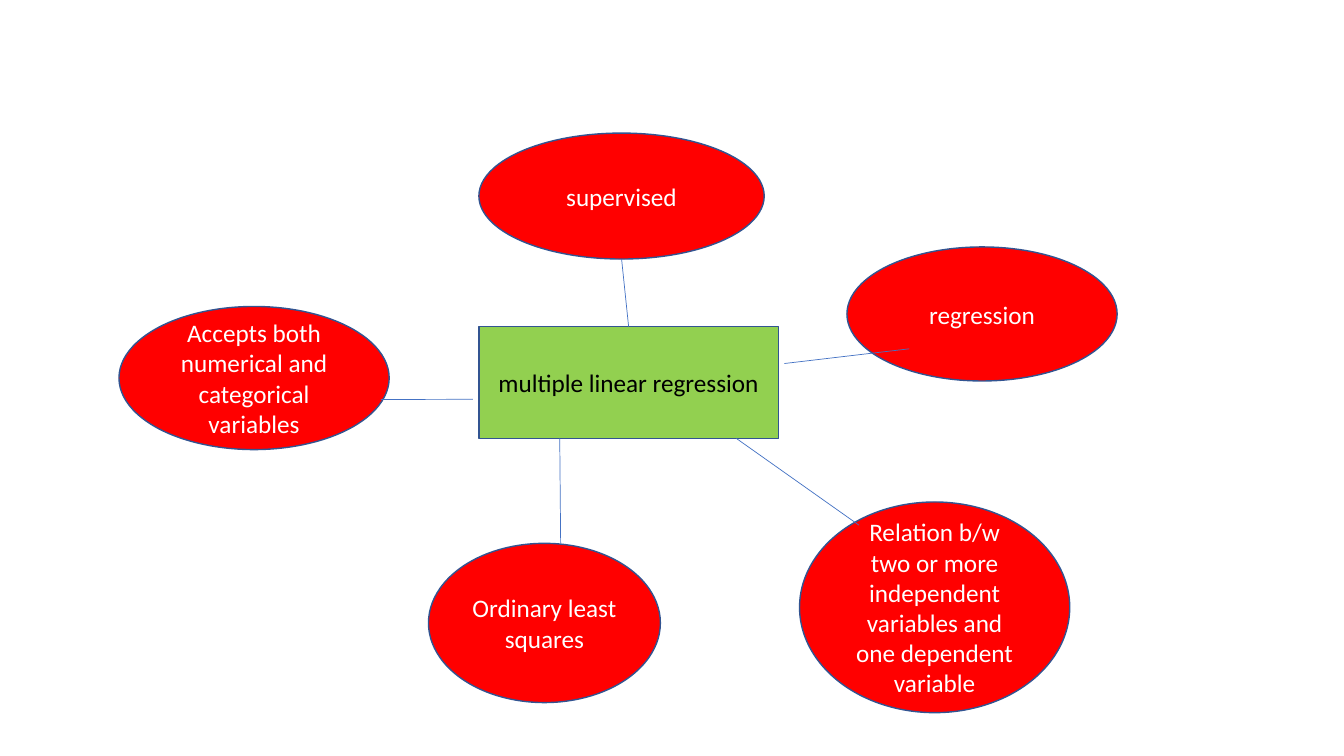
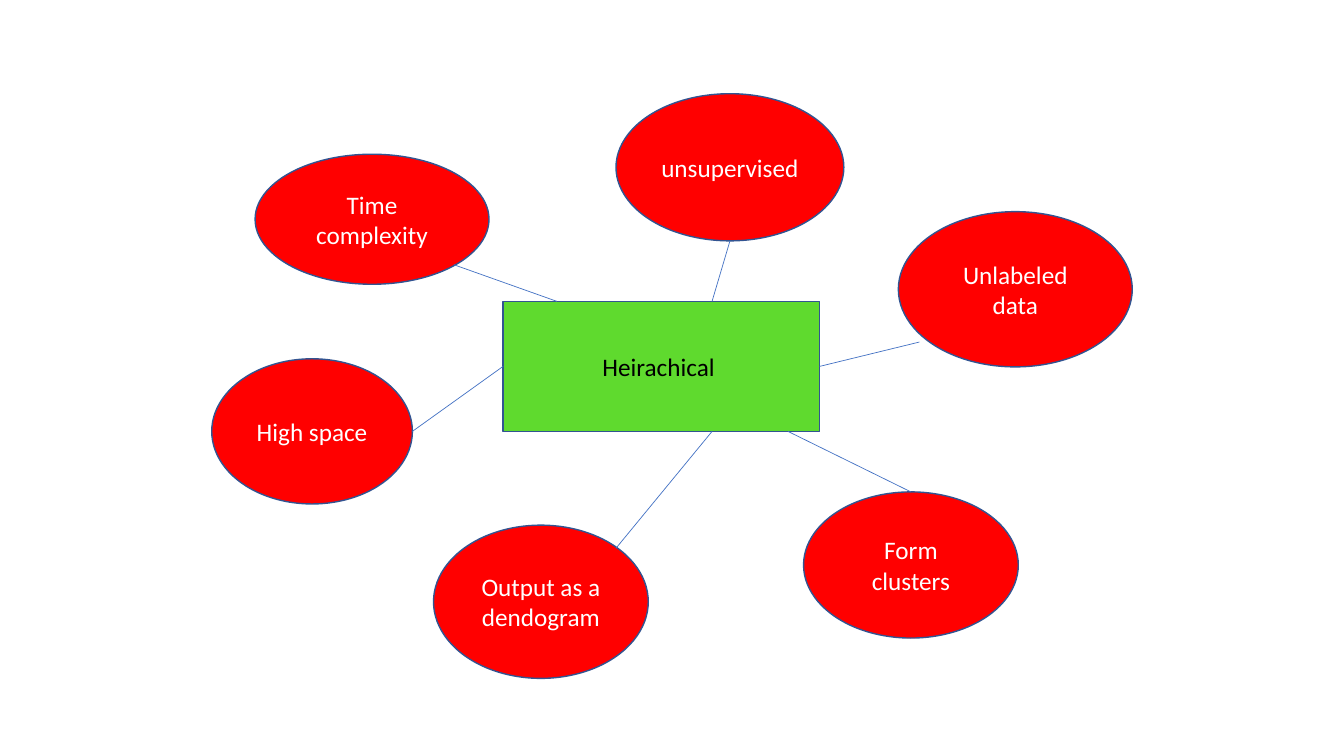
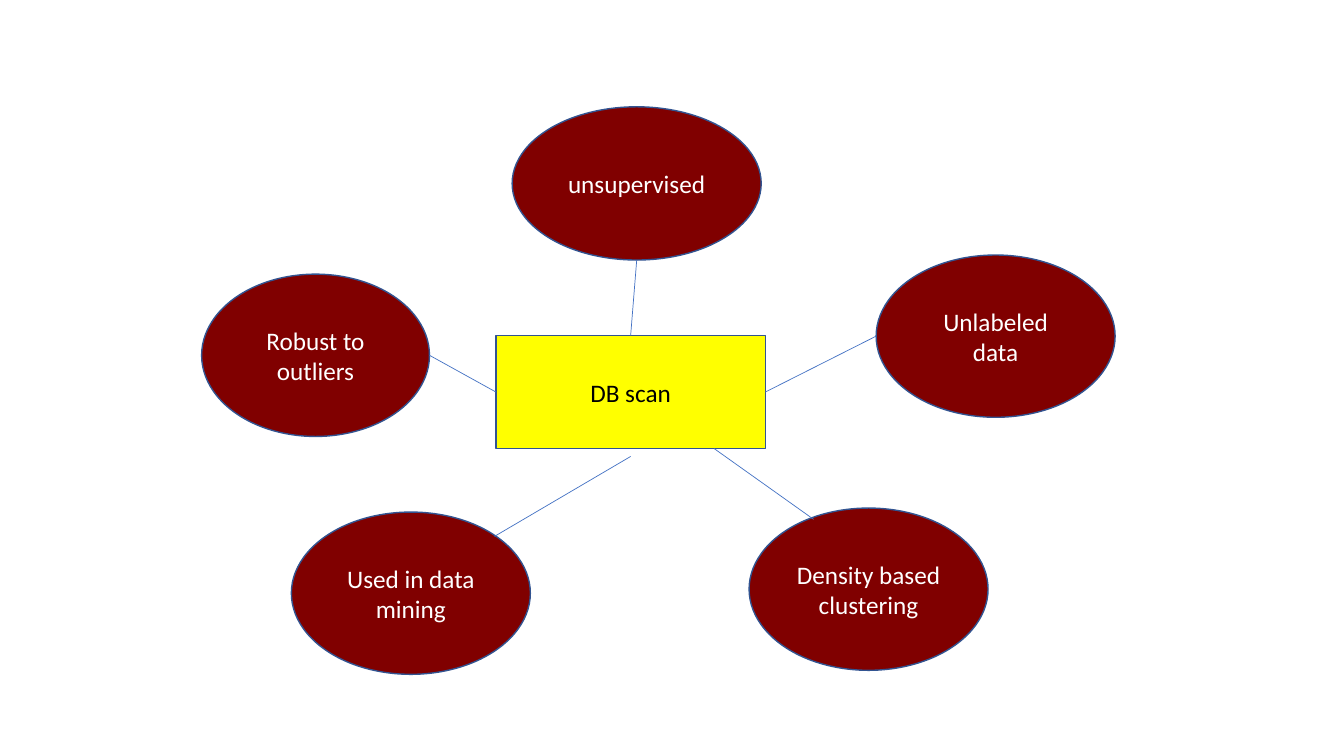
from pptx import Presentation
from pptx.dml.color import RGBColor
from pptx.enum.shapes import MSO_CONNECTOR, MSO_SHAPE
from pptx.enum.text import MSO_ANCHOR, PP_ALIGN
from pptx.oxml.ns import qn
from pptx.util import Inches, Pt
from lxml import etree

RECTANGLE = MSO_SHAPE.RECTANGLE
OVAL = MSO_SHAPE.OVAL
STRAIGHT = MSO_CONNECTOR.STRAIGHT
CENTER = PP_ALIGN.CENTER
MIDDLE = MSO_ANCHOR.MIDDLE

FONT = "Calibri"
OUTLINE = "325491"
SPOKE = "4472C4"
BLACK = "000000"
WHITE = "FFFFFF"
RED = "FF0000"
MAROON = "800000"

TOP, LEFT, BOTTOM, RIGHT = (0.5, 0), (0, 0.5), (0.5, 1), (1, 0.5)
UPPER_RIGHT, LOWER_RIGHT = (0.85, 0.15), (0.85, 0.85)
SIDES = {TOP: 0, LEFT: 1, BOTTOM: 2, RIGHT: 3}

# Each bubble: label, box, then the spoke's ends as fractions of bubble and hub.
MAPS = [
    {
        "hub": ("multiple linear regression", (4.75, 3.24, 2.97, 1.11), "92D050"),
        "bubble_color": RED,
        "bubbles": [
            ("supervised", (4.75, 1.32, 2.83, 1.25), BOTTOM, TOP),
            ("regression", (8.4, 2.45, 2.68, 1.33), (0.23, 0.76), (1.02, 0.33)),
            ("Relation b/w two or more independent variables and one dependent variable",
             (7.93, 4.98, 2.68, 2.09), (0.22, 0.11), (0.86, 1)),
            ("Ordinary least squares", (4.25, 5.39, 2.3, 1.58), (0.57, 0), (0.27, 1)),
            ("Accepts both numerical and categorical variables",
             (1.18, 3.04, 2.68, 1.42), (0.97, 0.65), (-0.02, 0.65)),
        ],
    },
    {
        "hub": ("Heirachical ", (4.99, 2.99, 3.14, 1.29), "5FDA2E"),
        "bubble_color": RED,
        "bubbles": [
            ("unsupervised", (6.11, 0.93, 2.26, 1.46), BOTTOM, (0.66, 0)),
            ("Unlabeled data", (8.91, 2.1, 2.32, 1.54), (0.09, 0.84), RIGHT),
            ("Form clusters", (7.97, 4.88, 2.13, 1.45), TOP, (0.9, 1)),
            ("Output as a dendogram", (4.3, 5.21, 2.13, 1.52), UPPER_RIGHT, (0.66, 1)),
            ("High space", (2.1, 3.56, 1.99, 1.44), RIGHT, LEFT),
            ("Time complexity", (2.53, 1.53, 2.32, 1.29), LOWER_RIGHT, (0.17, 0)),
        ],
    },
    {
        "hub": ("DB scan", (4.92, 3.33, 2.67, 1.12), "FFFF00"),
        "bubble_color": MAROON,
        "bubbles": [
            ("unsupervised", (5.08, 1.06, 2.47, 1.52), BOTTOM, TOP),
            ("Unlabeled data", (8.69, 2.53, 2.37, 1.61), LEFT, RIGHT),
            ("Density based clustering", (7.43, 5.04, 2.37, 1.61), (0.27, 0.07), (0.81, 1)),
            ("Used in data mining", (2.89, 5.08, 2.37, 1.61), UPPER_RIGHT, (0.5, 1.07)),
            ("Robust to outliers", (2, 2.72, 2.26, 1.61), RIGHT, LEFT),
        ],
    },
]


def color(hex_text):
    return RGBColor.from_string(hex_text)


def add_node(slide, kind, label, box, fill, text_color):
    shape = slide.shapes.add_shape(kind, *map(Inches, box))
    shape.shadow.inherit = False
    shape.fill.solid()
    shape.fill.fore_color.rgb = color(fill)
    shape.line.color.rgb = color(OUTLINE)
    shape.line.width = Pt(1)
    frame = shape.text_frame
    frame.word_wrap = True
    frame.vertical_anchor = MIDDLE
    paragraph = frame.paragraphs[0]
    paragraph.alignment = CENTER
    run = paragraph.add_run()
    run.text = label
    run.font.name = FONT
    run.font.size = Pt(18)
    run.font.color.rgb = color(text_color)
    return shape


def point_on(box, fraction):
    left, top, width, height = box
    return Inches(left + width * fraction[0]), Inches(top + height * fraction[1])


def add_spoke(slide, bubble_box, bubble_end, hub, hub_box, hub_end):
    start = point_on(bubble_box, bubble_end)
    end = point_on(hub_box, hub_end)
    connector = slide.shapes.add_connector(STRAIGHT, *start, *end)
    connector.line.color.rgb = color(SPOKE)
    connector.line.width = Pt(0.5)
    etree.SubElement(connector._element.spPr, qn("a:effectLst"))
    if hub_end in SIDES:
        connector.end_connect(hub, SIDES[hub_end])


def add_map_slide(presentation, hub, bubble_color, bubbles):
    slide = presentation.slides.add_slide(presentation.slide_layouts[6])
    hub_label, hub_box, hub_color = hub
    hub_shape = add_node(slide, RECTANGLE, hub_label, hub_box, hub_color, BLACK)
    for label, box, _, _ in bubbles:
        add_node(slide, OVAL, label, box, bubble_color, WHITE)
    for _, box, bubble_end, hub_end in bubbles:
        add_spoke(slide, box, bubble_end, hub_shape, hub_box, hub_end)


def main():
    presentation = Presentation()
    presentation.slide_width = Inches(13.33)
    presentation.slide_height = Inches(7.5)
    for concept_map in MAPS:
        add_map_slide(presentation, **concept_map)
    presentation.save("out.pptx")


if __name__ == "__main__":
    main()
